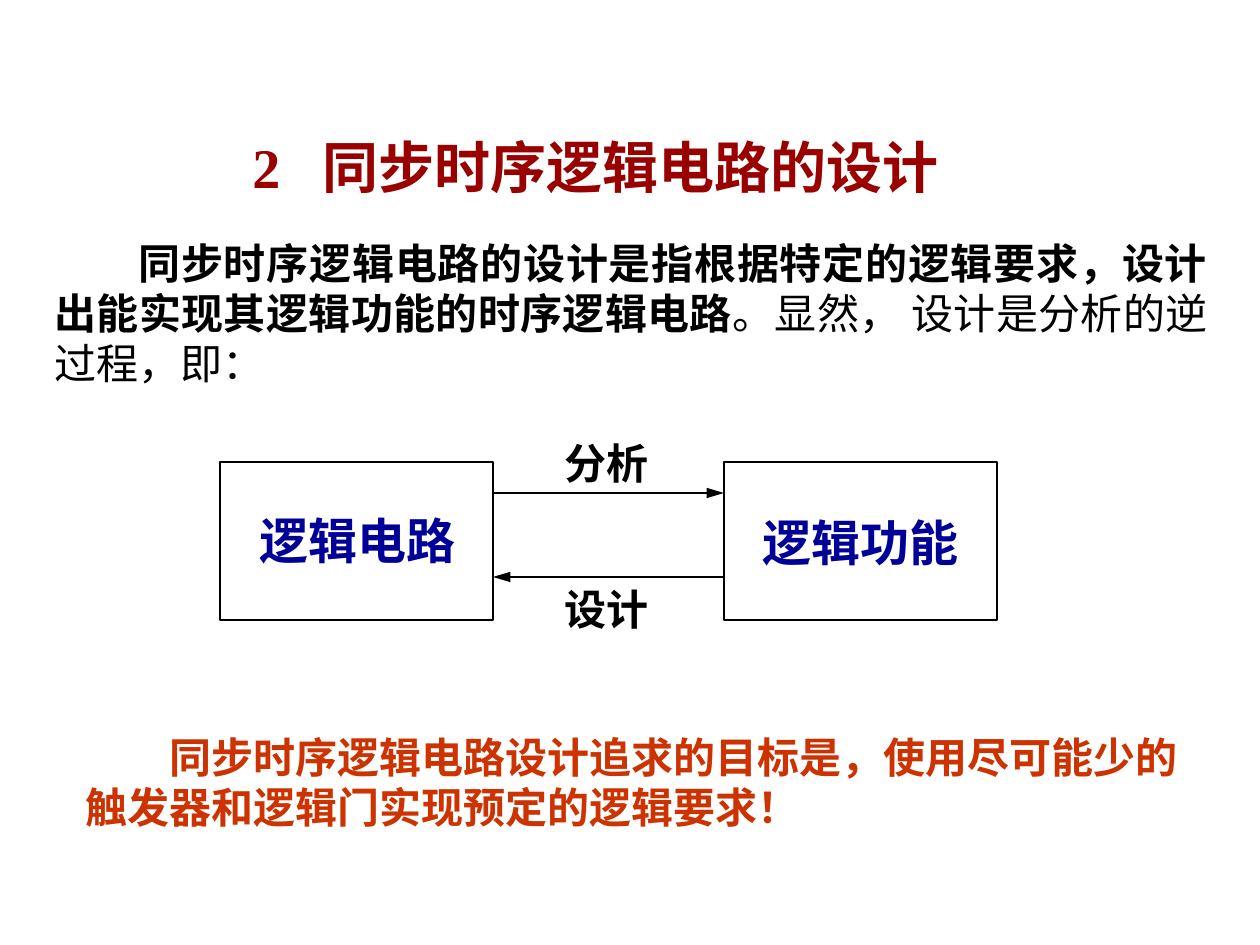
"""Build a slide on the design of synchronous sequential logic circuits."""
from lxml import etree
from pptx import Presentation
from pptx.dml.color import RGBColor
from pptx.enum.shapes import MSO_CONNECTOR as CONNECTOR, MSO_SHAPE as SHAPE
from pptx.enum.text import MSO_AUTO_SIZE as AUTO_SIZE, PP_ALIGN as ALIGN
from pptx.oxml.ns import qn
from pptx.util import Pt

SCALE = 914400 / 126
BLACK = RGBColor(0x00, 0x00, 0x00)
DARK_RED = RGBColor(0x99, 0x00, 0x00)
ORANGE = RGBColor(0xCC, 0x33, 0x00)
NAVY = RGBColor(0x00, 0x00, 0x99)


def px(value):
    return round(value * SCALE)


def add_text(left, top, width, height, runs, size, color, wrap=False, indent=0, tab=0):
    box = slide.shapes.add_textbox(px(left), px(top), px(width), px(height))
    frame = box.text_frame
    frame.word_wrap = wrap
    frame.auto_size = AUTO_SIZE.SHAPE_TO_FIT_TEXT
    paragraph = frame.paragraphs[0]
    properties = paragraph._p.get_or_add_pPr()
    if indent:
        properties.set("indent", str(px(indent)))
    if tab:
        tabs = etree.SubElement(properties, qn("a:tabLst"))
        etree.SubElement(tabs, qn("a:tab"), pos=str(px(tab)), algn="l")
    paragraph.font.name = "Times New Roman"
    paragraph.font.size = Pt(size)
    paragraph.font.color.rgb = color
    for text, bold in runs:
        run = paragraph.add_run()
        run.text = text
        run.font.bold = bold
    return paragraph


presentation = Presentation()
presentation.slide_width, presentation.slide_height = px(1260), px(945)
slide = presentation.slides.add_slide(presentation.slide_layouts[6])

add_text(240, 126, 725, 81, [("2\t同步时序逻辑电路的设计", True)], 32, DARK_RED, tab=70)

definition = add_text(42, 231, 1178, 164, [
    ("同步时序逻辑电路的设计是指根据特定的逻辑要求，设计出能实现其逻辑功能的时序逻辑电路", True),
    ("。显然， 设计是分析的逆过程，即：", False),
], 24, BLACK, wrap=True, indent=84)
definition.alignment = ALIGN.JUSTIFY

add_text(73, 725, 1155, 113, [
    ("同步时序逻辑电路设计追求的目标是，使用尽可能少的触发器和逻辑门实现预定的逻辑要求！", True),
], 24, ORANGE, wrap=True, indent=84)

for left, label_left, label_top, label in [
    (220, 247, 504, "逻辑电路"),
    (724, 750, 506, "逻辑功能"),
]:
    block = slide.shapes.add_shape(SHAPE.RECTANGLE, px(left), px(462), px(273), px(158))
    block.shadow.inherit = False
    block.fill.background()
    block.line.color.rgb = BLACK
    block.line.width = Pt(0.75)
    add_text(label_left, label_top, 224, 72, [(label, True)], 28, NAVY)

for start, end, y, label_top, label in [
    (493, 724, 493, 431, "分析"),
    (724, 493, 577, 577, "设计"),
]:
    arrow = slide.shapes.add_connector(CONNECTOR.STRAIGHT, px(start), px(y), px(end), px(y))
    arrow.line.color.rgb = BLACK
    arrow.line.width = Pt(1.5)
    etree.SubElement(arrow.line._get_or_add_ln(), qn("a:tailEnd"), type="triangle", len="lg")
    etree.SubElement(arrow._element.spPr, qn("a:effectLst"))
    add_text(552, label_top, 116, 63, [(label, True)], 24, BLACK)

presentation.save("out.pptx")
